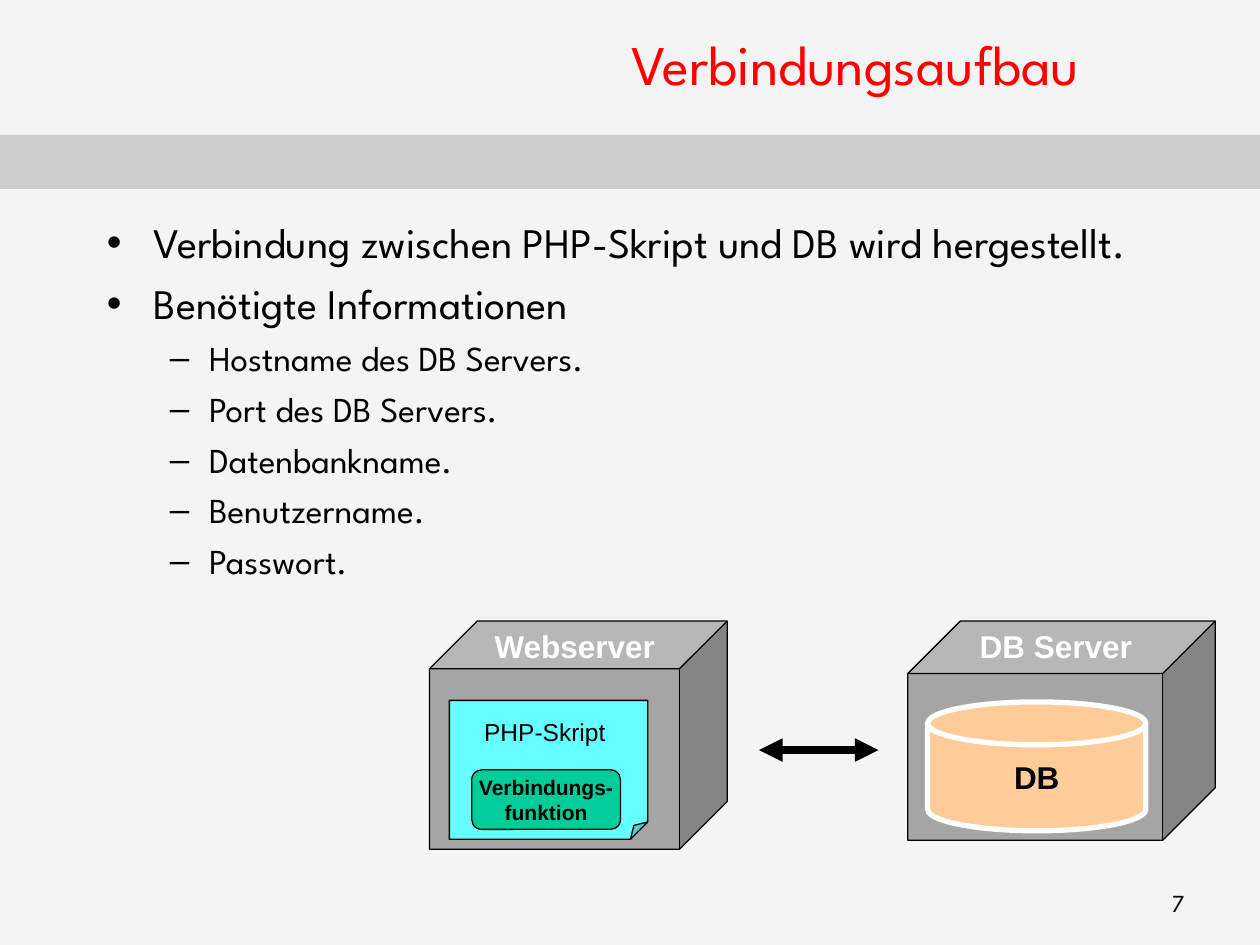
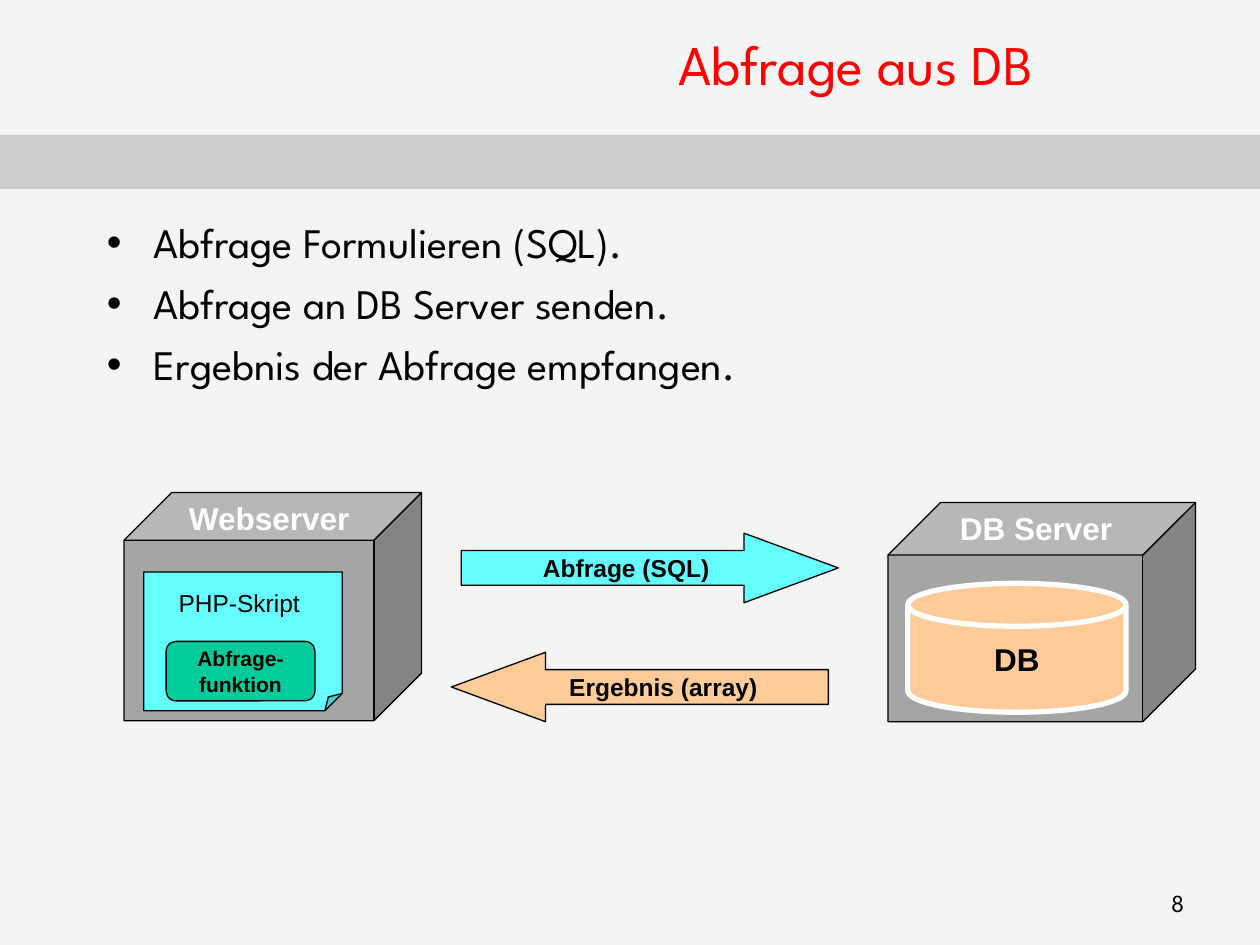
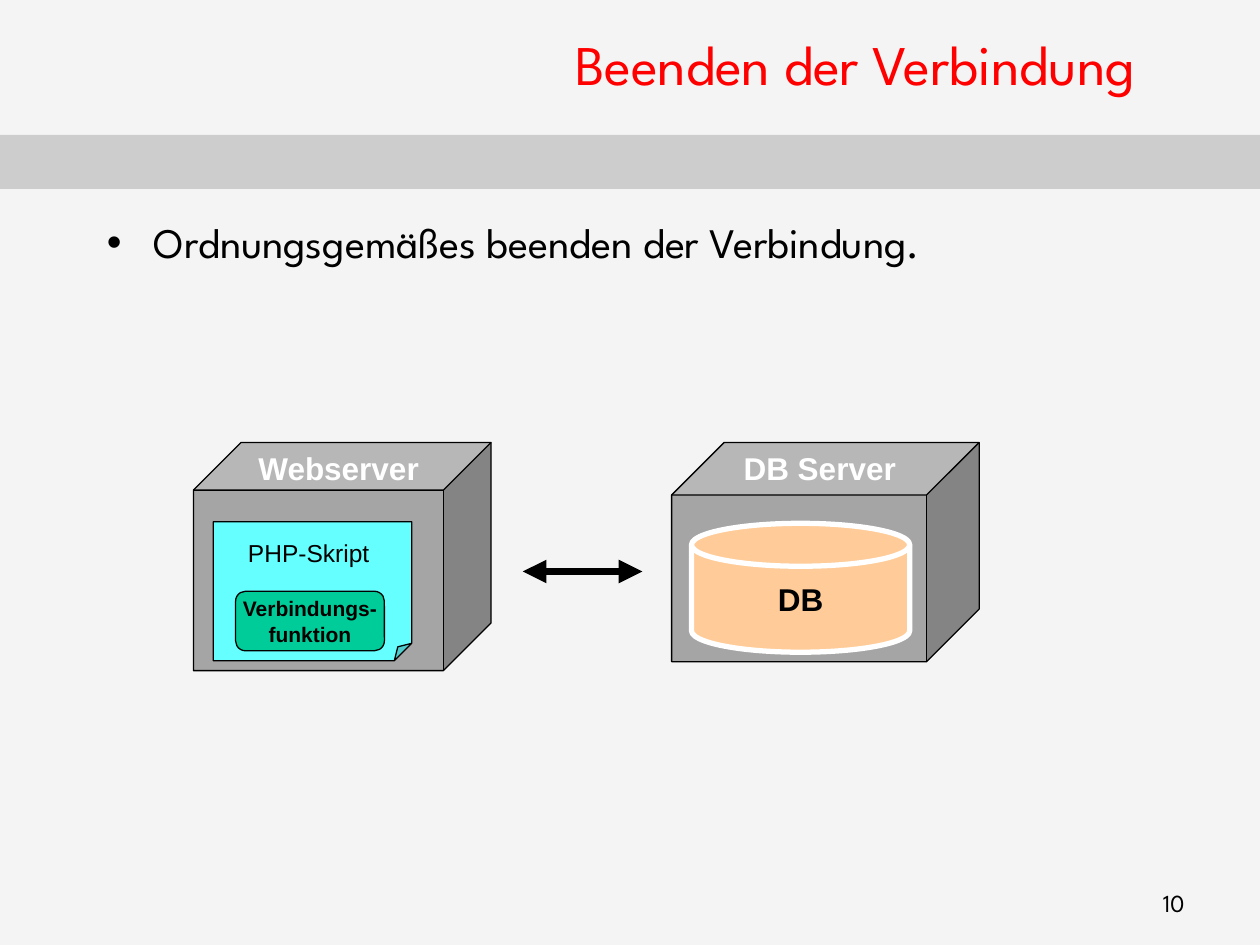
"""Build three slides on how a PHP script connects to, queries and leaves a database."""
from lxml.etree import SubElement
from pptx import Presentation
from pptx.dml.color import RGBColor
from pptx.enum.shapes import MSO_CONNECTOR, MSO_SHAPE
from pptx.enum.text import MSO_ANCHOR, MSO_AUTO_SIZE, PP_ALIGN
from pptx.oxml.ns import qn
from pptx.util import Cm, Pt

BACKGROUND, BAND = "F4F4F4", "CDCDCD"
RED, BLACK, WHITE = "FF0000", "000000", "FFFFFF"
GREY, CYAN, GREEN, PEACH = "A5A5A5", "66FFFF", "00CC99", "FFCC99"
HEAD_FONT, LABEL_FONT = "League Spartan", "Arial"
LEVELS = [("•", 24, 6, 0.95, 0.95), ("–", 20, 5, 2.06, 0.79)]


def rgb(color):
    return RGBColor.from_string(color)


def place(sp, x, y, w, h):
    sp.left, sp.top, sp.width, sp.height = Cm(x), Cm(y), Cm(w), Cm(h)


def write(p, text, size, color=BLACK, font=LABEL_FONT, bold=False, align=PP_ALIGN.LEFT):
    p.alignment = align
    r = p.add_run()
    r.text = text
    r.font.size, r.font.name, r.font.bold = Pt(size), font, bold
    r.font.color.rgb = rgb(color)


def paragraphs(tf, items):
    for i, item in enumerate(items):
        yield (tf.add_paragraph() if i else tf.paragraphs[0]), item


def add_shape(s, kind, x, y, w, h, fill, line=BLACK, line_width=0.75, adj=()):
    sp = s.shapes.add_shape(kind, Cm(x), Cm(y), Cm(w), Cm(h))
    sp.shadow.inherit = False
    sp.fill.solid()
    sp.fill.fore_color.rgb = rgb(fill)
    if line:
        sp.line.color.rgb = rgb(line)
        sp.line.width = Pt(line_width)
    else:
        sp.line.fill.background()
    for i, value in enumerate(adj):
        sp.adjustments[i] = value
    return sp


def fill_text(sp, size, *lines):
    tf = sp.text_frame
    tf.word_wrap = False
    tf.vertical_anchor = MSO_ANCHOR.MIDDLE
    for p, text in paragraphs(tf, lines):
        write(p, text, size, bold=True, align=PP_ALIGN.CENTER)


def add_label(s, text, x, y, w, h, size, color=BLACK, bold=False):
    tf = s.shapes.add_textbox(Cm(x), Cm(y), Cm(w), Cm(h)).text_frame
    tf.word_wrap = False
    tf.auto_size = MSO_AUTO_SIZE.SHAPE_TO_FIT_TEXT
    write(tf.paragraphs[0], text, size, color, bold=bold)


def add_page(s, x, y, w, h, fill):
    page = add_shape(s, MSO_SHAPE.FOLDED_CORNER, x, y, w, h, fill)
    geometry = page.element.spPr.find(qn("a:prstGeom"))
    geometry.set("prst", "foldedCorner")
    SubElement(geometry.find(qn("a:avLst")), qn("a:gd"), name="adj", fmla="val 12500")


def add_webserver(s, x, y, function):
    add_shape(s, MSO_SHAPE.CUBE, x, y, 6, 4.6, GREY, adj=[0.209])
    add_label(s, "Webserver", x + 1.06, y, 3.76, 1.02, 18, WHITE, True)
    add_page(s, x + 0.4, y + 1.6, 4, 2.8, CYAN)
    add_label(s, "PHP-Skript", x + 0.85, y + 1.8, 2.95, 0.86, 14)
    box = add_shape(s, MSO_SHAPE.ROUNDED_RECTANGLE, x + 0.85, y + 3, 3, 1.2, GREEN,
                    adj=[0.167])
    fill_text(box, 12, function, "funktion")


def add_db_server(s, x, y):
    add_shape(s, MSO_SHAPE.CUBE, x, y, 6.2, 4.42, GREY, adj=[0.24])
    add_label(s, "DB Server", x + 1.2, y, 3.58, 1.02, 18, WHITE, True)
    disk = add_shape(s, MSO_SHAPE.FLOWCHART_MAGNETIC_DISK, x + 0.4, y + 1.63, 4.4, 2.6,
                     PEACH, WHITE, 3)
    fill_text(disk, 18, "DB")


def add_double_arrow(s, x, y, length):
    c = s.shapes.add_connector(MSO_CONNECTOR.STRAIGHT, Cm(x), Cm(y), Cm(x + length), Cm(y))
    c.line.color.rgb = rgb(BLACK)
    c.line.width = Pt(4.5)
    props = c.element.spPr
    ln = props.find(qn("a:ln"))
    for end in ("a:headEnd", "a:tailEnd"):
        SubElement(ln, qn(end), type="triangle")
    SubElement(props, qn("a:effectLst"))


def add_block_arrow(s, kind, x, y, text, fill):
    fill_text(add_shape(s, kind, x, y, 7.6, 1.4, fill, adj=[0.5, 1.356]), 14, text)


def add_connection(s, x, y):
    add_webserver(s, x, y, "Verbindungs-")
    add_double_arrow(s, x + 6.64, y + 2.6, 2.41)
    add_db_server(s, x + 9.64, y)


def add_bullets(tf, items):
    tf.auto_size = MSO_AUTO_SIZE.NONE
    for p, (level, text) in paragraphs(tf, items):
        char, size, before, margin, hanging = LEVELS[level]
        p.level = level
        p.space_before = Pt(before)
        write(p, text, size, font=HEAD_FONT)
        props = p._p.get_or_add_pPr()
        props.set("marL", str(Cm(margin)))
        props.set("indent", str(-Cm(hanging)))
        SubElement(props, qn("a:buChar"), char=char)


def add_slide(prs, title, number, items, body_height=12.5):
    s = prs.slides.add_slide(prs.slide_layouts[1])
    place(s.shapes.title, 9.1, 0, 16.3, 2.54)
    tf = s.shapes.title.text_frame
    tf.auto_size = MSO_AUTO_SIZE.NONE
    tf.vertical_anchor = MSO_ANCHOR.MIDDLE
    write(tf.paragraphs[0], title, 32, RED, HEAD_FONT, align=PP_ALIGN.CENTER)
    body = s.placeholders[1]
    place(body, 1.9, 4.24, 21.6, body_height)
    add_bullets(body.text_frame, items)
    tf = s.shapes.add_textbox(Cm(18.85), Cm(17.78), Cm(5.28), Cm(1.27)).text_frame
    tf.word_wrap = True
    write(tf.paragraphs[0], number, 14, font=HEAD_FONT, align=PP_ALIGN.RIGHT)
    return s


def style_master(prs, s):
    master = prs.slide_master
    master.background.fill.solid()
    master.background.fill.fore_color.rgb = rgb(BACKGROUND)
    band = add_shape(s, MSO_SHAPE.RECTANGLE, 0, 2.72, 25.4, 1.09, BAND, line=None)
    band.element.nvSpPr.cNvPr.set("id", "100")
    master.shapes.element.insert(2, band.element)


def main():
    prs = Presentation()
    prs.slide_width, prs.slide_height = Cm(25.4), Cm(19.05)

    s = add_slide(prs, "Verbindungsaufbau", "7", [
        (0, "Verbindung zwischen PHP-Skript und DB wird hergestellt."),
        (0, "Benötigte Informationen"),
        (1, "Hostname des DB Servers."),
        (1, "Port des DB Servers."),
        (1, "Datenbankname."),
        (1, "Benutzername."),
        (1, "Passwort."),
    ])
    style_master(prs, s)
    add_connection(s, 8.66, 12.52)

    s = add_slide(prs, "Abfrage aus DB", "8", [
        (0, "Abfrage Formulieren (SQL)."),
        (0, "Abfrage an DB Server senden."),
        (0, "Ergebnis der Abfrage empfangen."),
    ], body_height=3.9)
    add_db_server(s, 17.9, 10.13)
    add_block_arrow(s, MSO_SHAPE.RIGHT_ARROW, 9.3, 10.75, "Abfrage (SQL)", CYAN)
    add_block_arrow(s, MSO_SHAPE.LEFT_ARROW, 9.1, 13.15, "Ergebnis (array)", PEACH)
    add_webserver(s, 2.5, 9.93, "Abfrage-")

    s = add_slide(prs, "Beenden der Verbindung", "10", [
        (0, "Ordnungsgemäßes beenden der Verbindung."),
    ])
    add_connection(s, 3.9, 8.92)

    prs.save("out.pptx")


if __name__ == "__main__":
    main()
